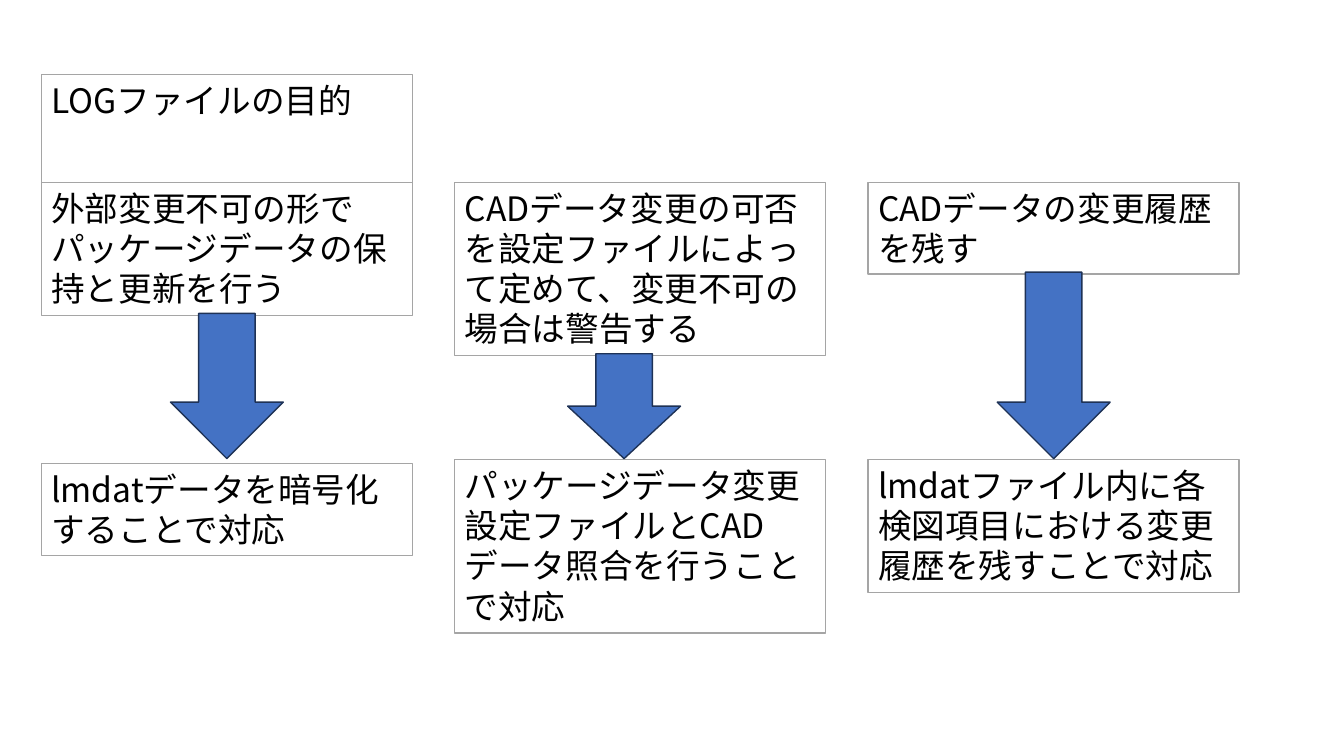
import pptx
import pptx.util
import pptx.dml.color
import pptx.enum.shapes
import pptx.enum.text
import pptx.oxml.ns
import lxml.etree
from dataclasses import dataclass

Inches = pptx.util.Inches
Pt = pptx.util.Pt
Color = pptx.dml.color.RGBColor.from_string
Shapes = pptx.enum.shapes.MSO_SHAPE
qn = pptx.oxml.ns.qn

TITLE = "LOGファイルの目的"
COLUMNS = [
    {"goal": "外部変更不可の形でパッケージデータの保持と更新を行う", "goal_lines": 3,
     "method": "lmdatデータを暗号化することで対応", "method_lines": 2,
     "method_top": 4.6, "arrow_shift": 0},
    {"goal": "CADデータ変更の可否を設定ファイルによって定めて、変更不可の場合は警告する",
     "goal_lines": 4,
     "method": "パッケージデータ変更設定ファイルとCADデータ照合を行うことで対応",
     "method_lines": 4, "method_top": 4.56, "arrow_shift": -0.16},
    {"goal": "CADデータの変更履歴を残す", "goal_lines": 2,
     "method": "lmdatファイル内に各検図項目における変更履歴を残すことで対応",
     "method_lines": 3, "method_top": 4.56, "arrow_shift": 0},
]


@dataclass(frozen=True)
class Theme:
    font: str = "Noto Sans CJK JP"
    size: int = 24
    text: str = "000000"
    box_fill: str = "FFFFFF"
    box_line: str = "A5A5A5"
    arrow_fill: str = "4472C4"
    arrow_line: str = "1E3256"
    line_width: int = 1


THEME = Theme()
LEFT, PITCH, BOX_WIDTH = 0.41, 4.1, 3.68
TITLE_TOP, GOAL_TOP = 0.74, 1.81
ARROW_WIDTH, ARROW_BOTTOM, OVERLAP = 1.12, 4.55, 0.02


def box_height(lines):
    return round(0.1 + 0.405 * lines, 2)


def place(shape, left, top, width, height):
    shape.left, shape.top = Inches(left), Inches(top)
    shape.width, shape.height = Inches(width), Inches(height)


def paint(shape, fill, line):
    shape.shadow.inherit = False
    shape.fill.solid()
    shape.fill.fore_color.rgb = Color(fill)
    shape.line.color.rgb = Color(line)
    shape.line.width = Pt(THEME.line_width)


def fill_box(box, text, left, top, lines):
    paint(box, THEME.box_fill, THEME.box_line)
    frame = box.text_frame
    frame.text = text
    frame.word_wrap = True
    frame.auto_size = pptx.enum.text.MSO_AUTO_SIZE.SHAPE_TO_FIT_TEXT
    frame.vertical_anchor = pptx.enum.text.MSO_ANCHOR.TOP
    para = frame.paragraphs[0]
    para.alignment = pptx.enum.text.PP_ALIGN.LEFT
    para.font.size = Pt(THEME.size)
    para.font.color.rgb = Color(THEME.text)
    para.font.name = THEME.font
    latin = para._p.pPr.find(qn("a:defRPr")).find(qn("a:latin"))
    east_asian = lxml.etree.Element(qn("a:ea"), typeface=THEME.font)
    latin.addnext(east_asian)
    place(box, left, top, BOX_WIDTH, box_height(lines))


deck = pptx.Presentation()
deck.slide_width, deck.slide_height = Inches(13.33), Inches(7.5)
page = deck.slides.add_slide(deck.slide_layouts[5])


def add_shape(kind):
    return page.shapes.add_shape(kind, 0, 0, 0, 0)


fill_box(page.shapes.title, TITLE, LEFT, TITLE_TOP, 1)

for index, column in enumerate(COLUMNS):
    left = LEFT + index * PITCH
    fill_box(add_shape(Shapes.RECTANGLE), column["goal"], left, GOAL_TOP,
             column["goal_lines"])
    fill_box(add_shape(Shapes.RECTANGLE), column["method"], left,
             column["method_top"], column["method_lines"])

    arrow = add_shape(Shapes.DOWN_ARROW)
    paint(arrow, THEME.arrow_fill, THEME.arrow_line)
    arrow_left = left + (BOX_WIDTH - ARROW_WIDTH) / 2 + column["arrow_shift"]
    arrow_top = GOAL_TOP + box_height(column["goal_lines"]) - OVERLAP
    place(arrow, arrow_left, arrow_top, ARROW_WIDTH, ARROW_BOTTOM - arrow_top)

deck.save("out.pptx")
